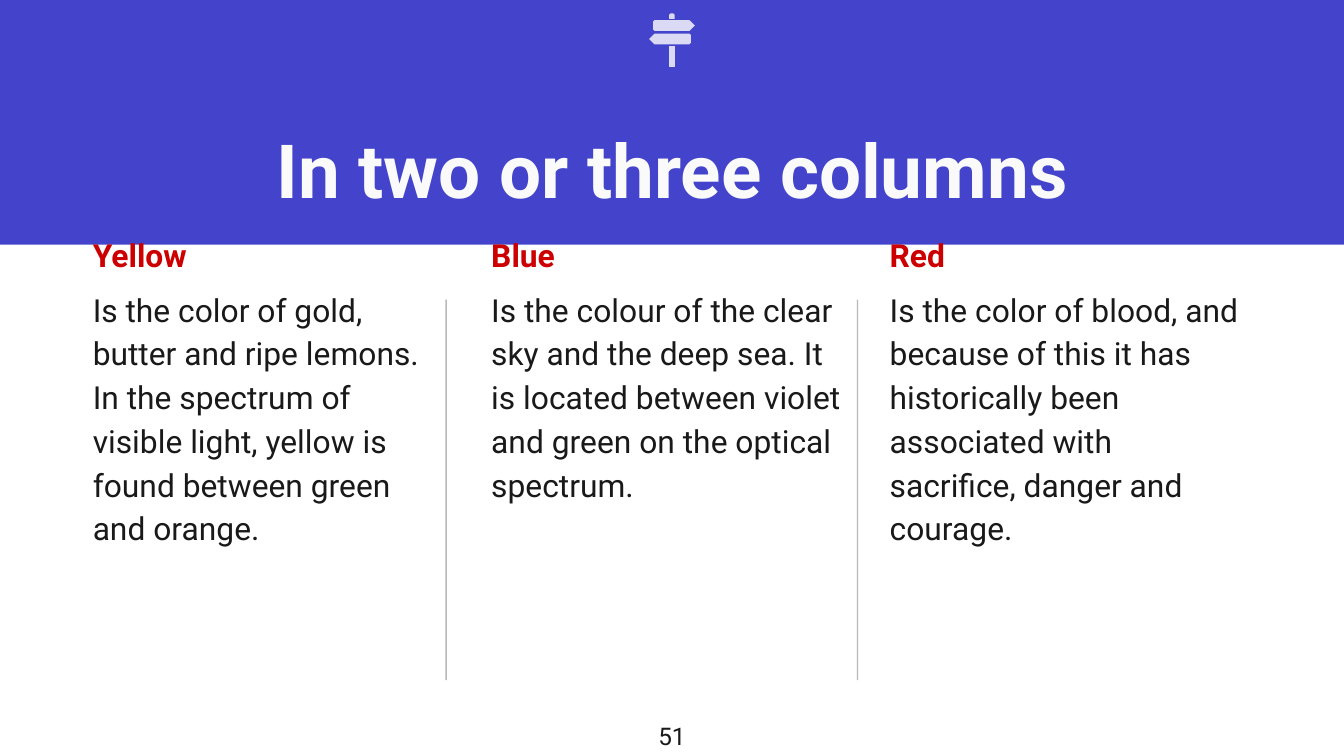
from lxml.etree import SubElement
from pptx import Presentation
from pptx.dml.color import RGBColor
from pptx.enum.shapes import MSO_CONNECTOR as Connector, MSO_SHAPE as Shape
from pptx.enum.text import MSO_ANCHOR as Anchor, MSO_AUTO_SIZE as AutoSize, PP_ALIGN as Align
from pptx.oxml.ns import qn
from pptx.util import Inches, Pt

COLORS = {"band": "4344CB", "title": "FAFAFA", "heading": "CC0000", "text": "191919", "icon": "DADAF5"}
FONT = "Roboto"
TITLE = "In two or three columns"
PAGE_NUMBER = "51"
COLUMNS = [
    ("Yellow", "Is the color of gold, butter and ripe lemons. In the spectrum of visible light, "
               "yellow is found between green and orange."),
    ("Blue", "Is the colour of the clear sky and the deep sea. It is located between violet "
             "and green on the optical spectrum."),
    ("Red", "Is the color of blood, and because of this it has historically been associated "
            "with sacrifice, danger and courage."),
]
SLIDE_WIDTH = 10
SLIDE_HEIGHT = SLIDE_WIDTH * 9 / 16
NUMBER_HEIGHT = 0.36
DIVIDERS = [6.38, 3.32]
FIRST_LEFT, LAST_LEFT = 0.59, 6.52
COLUMN_STEP = (LAST_LEFT - FIRST_LEFT) / (len(COLUMNS) - 1)

RIGHT_BOARD = [(4.87, 0.15), (4.86, 0.16), (4.86, 0.22), (4.87, 0.23), (5.13, 0.23), (5.17, 0.19), (5.13, 0.15)]
LEFT_BOARD = [(SLIDE_WIDTH - x, y + 0.1) for x, y in RIGHT_BOARD]
POST_CAP = [(4.99, 0.1), (4.98, 0.11), (4.98, 0.14), (5.02, 0.14), (5.02, 0.11), (5.01, 0.1)]
POST = [(4.98, 0.34), (4.98, 0.5), (5.02, 0.5), (5.02, 0.34)]


def color(name):
    return RGBColor.from_string(COLORS[name])


def paint(shape, name):
    shape.shadow.inherit = False
    shape.fill.solid()
    shape.fill.fore_color.rgb = color(name)
    shape.line.fill.background()


def place(shape, left, top, width, height):
    shape.left, shape.top = Inches(left), Inches(top)
    shape.width, shape.height = Inches(width), Inches(height)


def write(shape, lines):
    frame = shape.text_frame
    frame.word_wrap = True
    frame.auto_size = AutoSize.NONE
    frame.vertical_anchor = Anchor.TOP
    frame.margin_left = frame.margin_right = frame.margin_top = frame.margin_bottom = Inches(0.1)
    frame.text = "\n".join(text for text, *_ in lines)
    for paragraph, (_, size, name, bold, align) in zip(frame.paragraphs, lines):
        properties = paragraph._p.get_or_add_pPr()
        properties.set("marL", "0")
        properties.set("indent", "0")
        SubElement(properties, qn("a:buNone"))
        paragraph.alignment = align
        paragraph.space_before = Pt(0)
        paragraph.font.name = FONT
        paragraph.font.size = Pt(size)
        paragraph.font.bold = bold
        paragraph.font.color.rgb = color(name)
    return frame.paragraphs


def add_divider(slide, x):
    line = slide.shapes.add_connector(Connector.STRAIGHT, Inches(x), Inches(5.06), Inches(x), Inches(2.23))
    line.line.width = Pt(0.75)
    line.line.color.rgb = color("text")
    SubElement(line._element.spPr, qn("a:effectLst"))
    fill = line._element.spPr.find(".//" + qn("a:srgbClr"))
    SubElement(fill, qn("a:alpha")).set("val", "30000")


def add_signpost(slide):
    signpost = slide.shapes.add_group_shape()
    for points in (RIGHT_BOARD, LEFT_BOARD, POST_CAP, POST):
        start, *rest = [(Inches(x), Inches(y)) for x, y in points]
        builder = signpost.shapes.build_freeform(*start)
        builder.add_line_segments(rest, close=True)
        paint(builder.convert_to_shape(), "icon")


def main():
    presentation = Presentation()
    presentation.slide_width, presentation.slide_height = Inches(SLIDE_WIDTH), Inches(SLIDE_HEIGHT)
    slide = presentation.slides.add_slide(presentation.slide_layouts.get_by_name("Comparison"))
    title, *bodies = slide.placeholders
    tree = slide.shapes._spTree
    for placeholder in (title, *bodies):
        tree.remove(placeholder._element)

    for x in DIVIDERS:
        add_divider(slide, x)
    band = slide.shapes.add_shape(Shape.RECTANGLE, 0, 0, Inches(SLIDE_WIDTH), Inches(1.82))
    paint(band, "band")

    tree.append(title._element)
    place(title, 1.13, 0.82, 7.74, 0.59)
    write(title, [(TITLE, 40, "title", True, Align.CENTER)])

    for index, (body, (heading, text)) in enumerate(zip(bodies, COLUMNS)):
        tree.append(body._element)
        place(body, FIRST_LEFT + index * COLUMN_STEP, 1.61, 2.82, 3.78)
        paragraphs = write(body, [(heading, 17, "heading", True, Align.LEFT),
                                  (text, 17, "text", False, Align.LEFT)])
        for paragraph in paragraphs:
            paragraph.line_spacing = 1.15
        paragraphs[1].space_before = Pt(6)

    add_signpost(slide)
    number = slide.shapes.add_textbox(0, Inches(SLIDE_HEIGHT - NUMBER_HEIGHT),
                                      Inches(SLIDE_WIDTH), Inches(NUMBER_HEIGHT))
    write(number, [(PAGE_NUMBER, 13, "text", False, Align.CENTER)])
    presentation.save("out.pptx")


if __name__ == "__main__":
    main()
